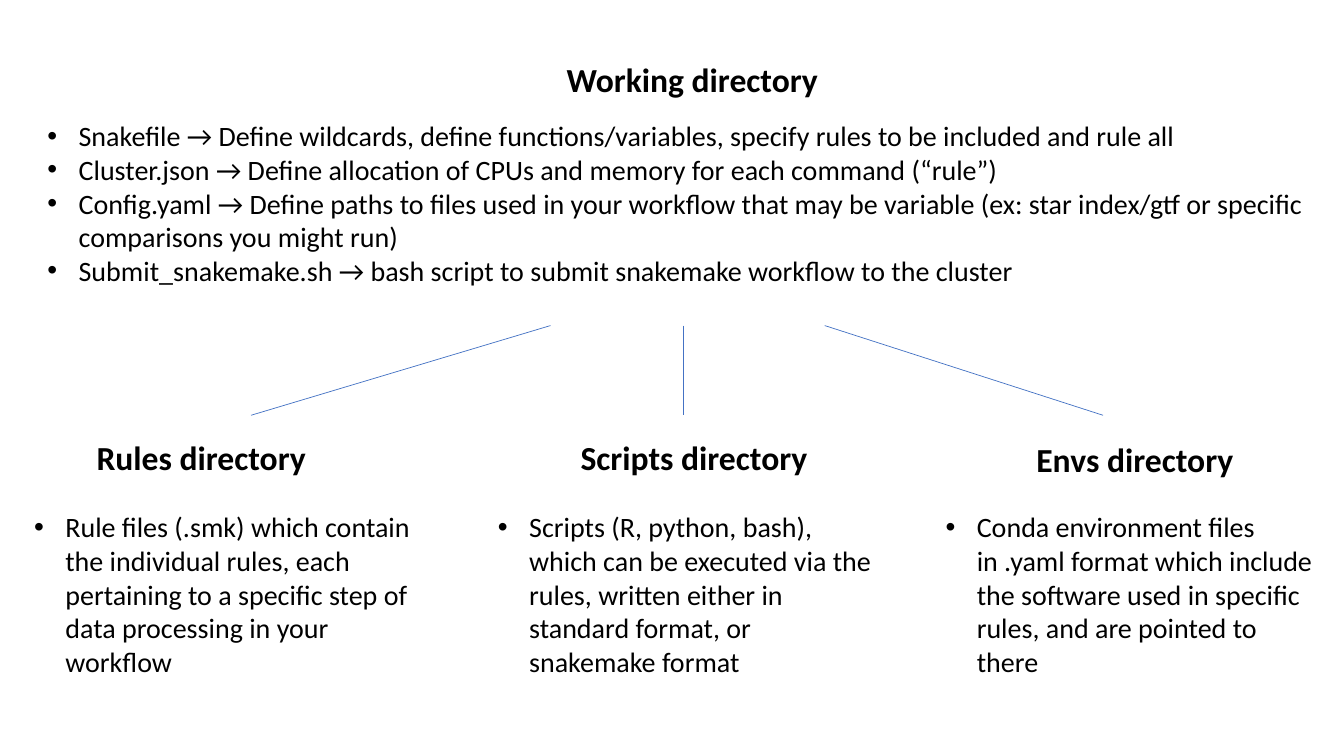
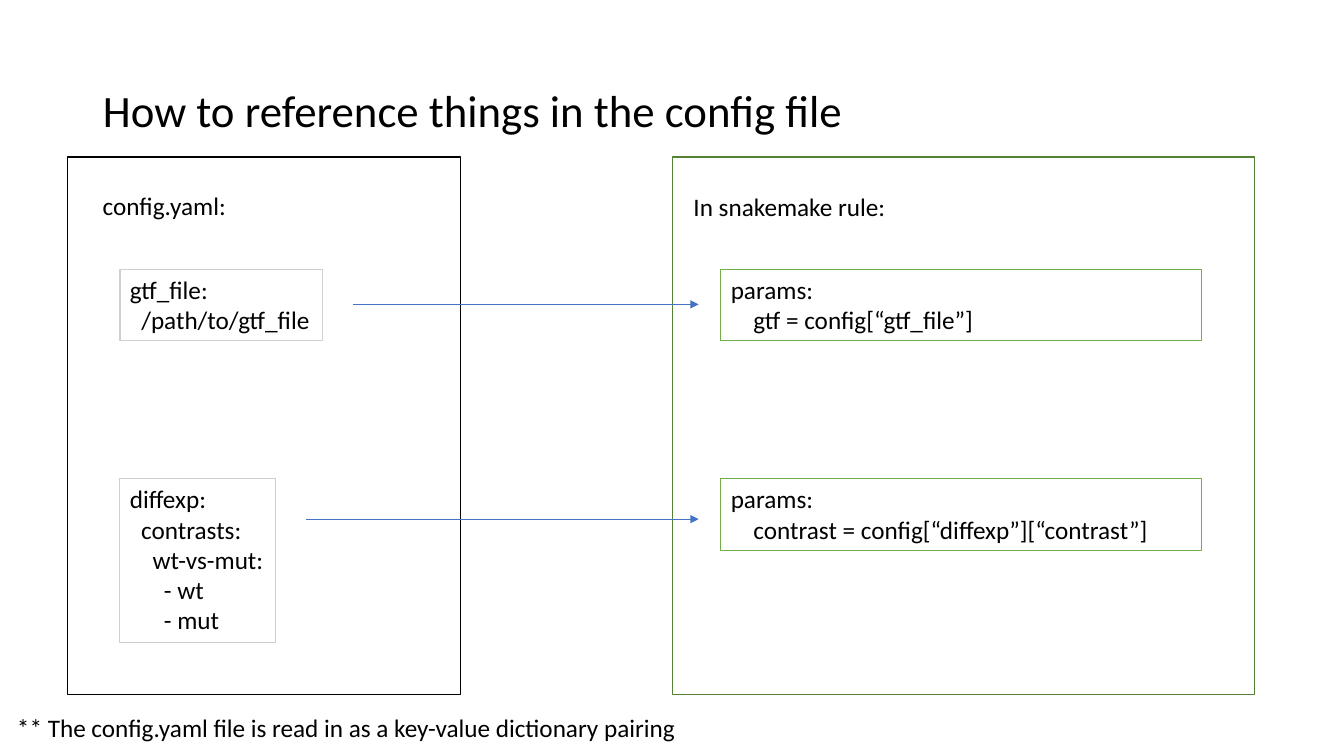
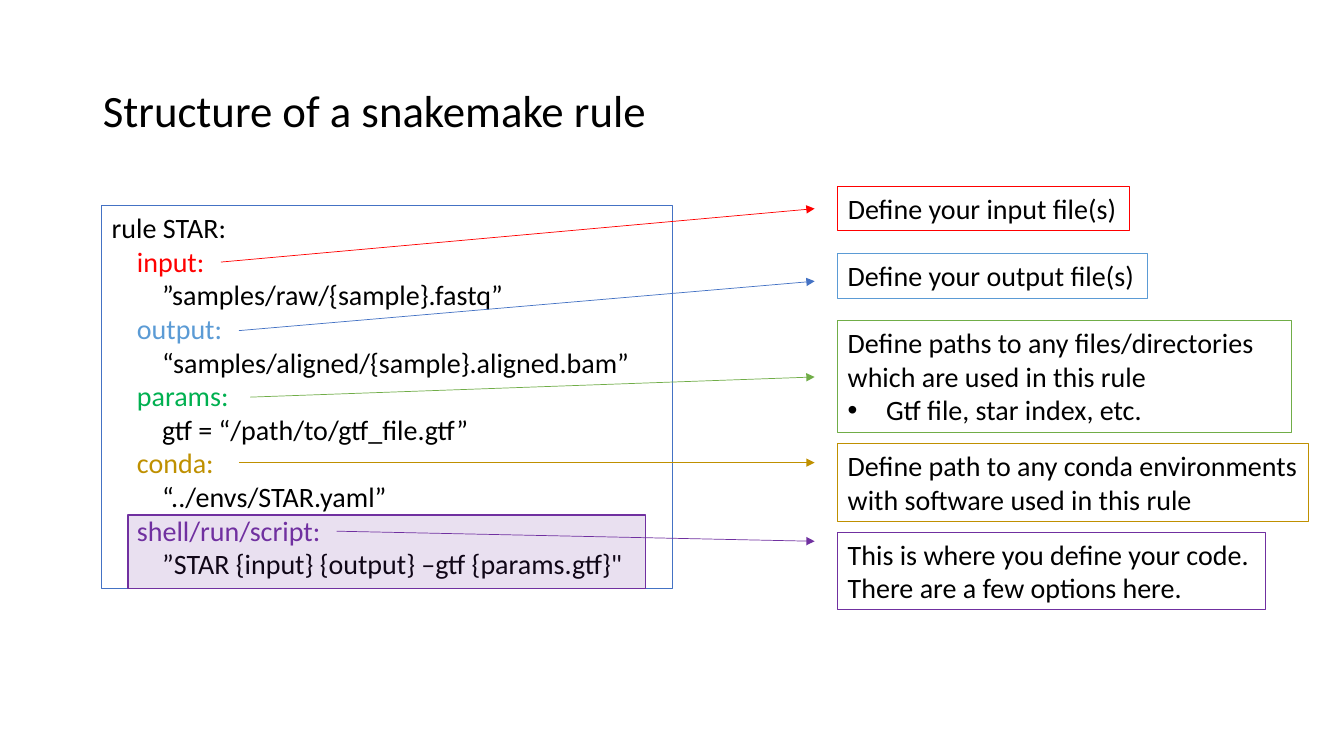
from dataclasses import dataclass
from pptx import Presentation
from pptx.dml.color import RGBColor as RGB
from pptx.enum.shapes import MSO_CONNECTOR as Conn, MSO_SHAPE as Kind
from pptx.enum.text import MSO_ANCHOR as Anchor, PP_ALIGN as Align
from pptx.oxml.ns import qn
from pptx.util import Inches, Pt
from lxml.etree import SubElement as add_node


@dataclass(frozen=True)
class Theme:
    font: str = "Calibri"
    black: str = "000000"
    white: str = "FFFFFF"
    blue: str = "4472C4"
    sky: str = "5B9BD5"
    red: str = "FF0000"
    green: str = "70AD47"
    moss: str = "548235"
    leaf: str = "00B050"
    gold: str = "BF9000"
    violet: str = "7030A0"
    grey: str = "D0CECE"
    title: int = 32
    head: int = 24
    text: int = 20
    code: int = 18
    thin: float = 0.5
    edge: float = 0.75
    thick: float = 1


T = Theme()


@dataclass(frozen=True)
class Line:
    """One paragraph: step counts nesting levels, bullet is its hanging indent."""
    text: str
    step: int = 0
    hue: str = T.black
    bullet: float = 0


# Slide 1: the directory tree
WORK = [
    "Snakefile → Define wildcards, define functions/variables, specify rules to be included and rule all",
    "Cluster.json → Define allocation of CPUs and memory for each command (“rule”)",
    "Config.yaml → Define paths to files used in your workflow that may be variable "
    "(ex: star index/gtf or specific comparisons you might run)",
    "Submit_snakemake.sh → bash script to submit snakemake workflow to the cluster",
]
# head, head box, list left, branch from x, branch to x, list text
FOLDERS = [
    ("Rules directory", (0.86, 4.29, 2.3, 0.5), 0.24, 5.46, 2.49,
     "Rule files (.smk) which contain the individual rules, each pertaining to a "
     "specific step of data processing in your workflow"),
    ("Scripts directory", (5.66, 4.29, 2.47, 0.5), 4.84, 6.78, 6.78,
     "Scripts (R, python, bash), which can be executed via the rules, written either "
     "in standard format, or snakemake format"),
    ("Envs directory", (10.18, 4.31, 2.18, 0.5), 9.28, 8.18, 10.94,
     "Conda environment files in .yaml format which include the software used in "
     "specific rules, and are pointed to there"),
]

# Slide 2: panels, labels, then one row per config entry
PANELS = [(0.67, 3.9, T.black), (6.67, 5.77, T.moss)]
LABELS = [
    ("config.yaml:", (0.92, 1.84, 1.44, 0.4)),
    ("In snakemake rule:", (6.78, 1.85, 2.13, 0.4)),
    ("** The config.yaml file is read in as a key-value dictionary pairing",
     (0.07, 7.02, 6.81, 0.4)),
]
# top, entry width, entry height, arrow x, arrow y, entry, use
ENTRIES = [
    (2.67, 2.01, 0.71, 3.5, 3.02,
     [Line("gtf_file:"), Line("/path/to/gtf_file", 1)], "gtf = config[“gtf_file”]"),
    (4.75, 1.54, 1.62, 3.04, 5.15,
     [Line("diffexp:"), Line("contrasts:", 1), Line("wt-vs-mut:", 2),
      Line("- wt", 3), Line("- mut", 3)],
     "contrast = config[“diffexp”][“contrast”]"),
]

# Slide 3: the parts of a rule and what each is for
PARTS = [
    ("input:", T.red, "”samples/raw/{sample}.fastq”"),
    ("output:", T.sky, "“samples/aligned/{sample}.aligned.bam”"),
    ("params:", T.leaf, "gtf = “/path/to/gtf_file.gtf”"),
    ("conda:", T.gold, "“../envs/STAR.yaml”"),
    ("shell/run/script:", T.violet, "”STAR {input} {output} –gtf {params.gtf}\""),
]
# top, width, height, wrap, edge, arrow hue, arrow start, arrow end y, lines
NOTES = [
    (1.85, 2.89, 0.44, False, T.red, T.red, (2.19, 2.6), 2.07,
     [Line("Define your input file(s)")]),
    (2.52, 3.07, 0.44, False, T.sky, T.blue, (2.37, 3.28), 2.79,
     [Line("Define your output file(s)")]),
    (3.18, 4.5, 1.11, True, T.green, T.green, (2.48, 3.94), 3.74,
     [Line("Define paths to any files/directories which are used in this rule"),
      Line("Gtf file, star index, etc.", bullet=0.38)]),
    (4.4, 4.67, 0.77, True, T.gold, T.gold, (2.37, 4.59), 4.59,
     [Line("Define path to any conda environments with software used in this rule")]),
    (5.28, 4.24, 0.77, True, T.violet, T.violet, (3.34, 5.27), 5.37,
     [Line("This is where you define your code. There are a few options here.")]),
]


def rgb(hue):
    return RGB.from_string(hue)


def place(shape, box):
    shape.left, shape.top, shape.width, shape.height = map(Inches, box)


def write(frame, lines, size, bold=False, wrap=True, anchor=Anchor.TOP):
    frame.word_wrap = wrap
    frame.vertical_anchor = anchor
    for i, line in enumerate(lines):
        para = frame.add_paragraph() if i else frame.paragraphs[0]
        para.alignment = Align.LEFT
        para.space_before = Pt(0)
        props = para._p.get_or_add_pPr()
        props.set("marL", str(Inches(line.bullet + line.step * size / 160)))
        props.set("indent", str(-Inches(line.bullet)))
        if line.bullet:
            add_node(props, qn("a:buFont"), typeface="Arial")
            add_node(props, qn("a:buChar"), char="•")
        run = para.add_run()
        run.text = line.text
        font = run.font
        font.name, font.size, font.bold = T.font, Pt(size), bold
        font.color.rgb = rgb(line.hue)


def add_title(slide, text, box=(0.92, 0.4, 11.5, 1.45), size=T.title, bold=False):
    title = slide.shapes.title
    place(title, box)
    write(title.text_frame, [Line(text)], size, bold, not bold, Anchor.MIDDLE)
    title.text_frame.paragraphs[0].line_spacing = 0.9


def add_text(slide, box, lines, size, bold=False, wrap=False):
    shape = slide.shapes.add_textbox(*map(Inches, box))
    write(shape.text_frame, lines, size, bold, wrap)


def add_box(slide, box, edge, width=T.edge, fill=None, lines=(), size=T.text, wrap=True):
    shape = slide.shapes.add_shape(Kind.RECTANGLE, *map(Inches, box))
    shape.shadow.inherit = False
    shape.line.color.rgb = rgb(edge)
    shape.line.width = Pt(width)
    if fill:
        shape.fill.solid()
        shape.fill.fore_color.rgb = rgb(fill)
    else:
        shape.fill.background()
    write(shape.text_frame, lines, size, wrap=wrap)
    return shape


def add_line(slide, start, end, hue=T.blue, arrow=True):
    line = slide.shapes.add_connector(Conn.STRAIGHT, *map(Inches, start + end))
    line.line.color.rgb = rgb(hue)
    line.line.width = Pt(T.thin)
    if arrow:
        add_node(line.line._get_or_add_ln(), qn("a:tailEnd"), type="triangle")
    add_node(line._element.spPr, qn("a:effectLst"))


def draw_tree(slide):
    add_title(slide, "Working directory", (5.52, 0.56, 2.72, 0.5), T.head, True)
    body = slide.placeholders[1]
    place(body, (0.37, 1.13, 12.81, 1.78))
    write(body.text_frame, [Line(text, bullet=0.31) for text in WORK], T.text)
    for head, box, left, start, end, text in FOLDERS:
        add_line(slide, (start, 3.23), (end, 4.12), arrow=False)
        add_text(slide, box, [Line(head)], T.head, bold=True)
        add_text(slide, (left, 5.01, 3.93, 1.78), [Line(text, bullet=0.31)],
                 T.text, wrap=True)


def draw_config(slide):
    add_title(slide, "How to reference things in the config file")
    for left, width, edge in PANELS:
        add_box(slide, (left, 1.56, width, 5.33), edge, T.thick)
    for text, box in LABELS:
        add_text(slide, box, [Line(text)], T.code)
    for top, width, height, x, y, entry, use in ENTRIES:
        add_box(slide, (1.19, top, width, height), T.grey, lines=entry,
                size=T.code, wrap=False)
        add_box(slide, (7.15, top, 4.77, 0.71), T.green,
                lines=[Line("params:"), Line(use, 2)], size=T.code)
        add_line(slide, (x, y), (6.93, y))


def draw_rule(slide):
    add_title(slide, "Structure of a snakemake rule")
    lines = [Line("rule STAR:")]
    for key, hue, code in PARTS:
        lines += [Line(key, 2, hue), Line(code, 4)]
    add_box(slide, (1.01, 2.04, 5.66, 3.8), T.blue, T.thick, T.white, lines)
    for top, width, height, wrap, edge, hue, start, end, note in NOTES:
        add_line(slide, start, (8.08, end), hue)
        add_box(slide, (8.31, top, width, height), edge, lines=note, wrap=wrap)
    veil = add_box(slide, (1.27, 5.11, 5.13, 0.73), T.violet, T.thick, T.violet)
    tint = veil._element.spPr.find(qn("a:solidFill")).find(qn("a:srgbClr"))
    add_node(tint, qn("a:alpha"), val="15000")


def main():
    deck = Presentation()
    deck.slide_width, deck.slide_height = Inches(13.33), Inches(7.5)
    for layout, draw in ((1, draw_tree), (5, draw_config), (5, draw_rule)):
        draw(deck.slides.add_slide(deck.slide_layouts[layout]))
    deck.save("out.pptx")


if __name__ == "__main__":
    main()
